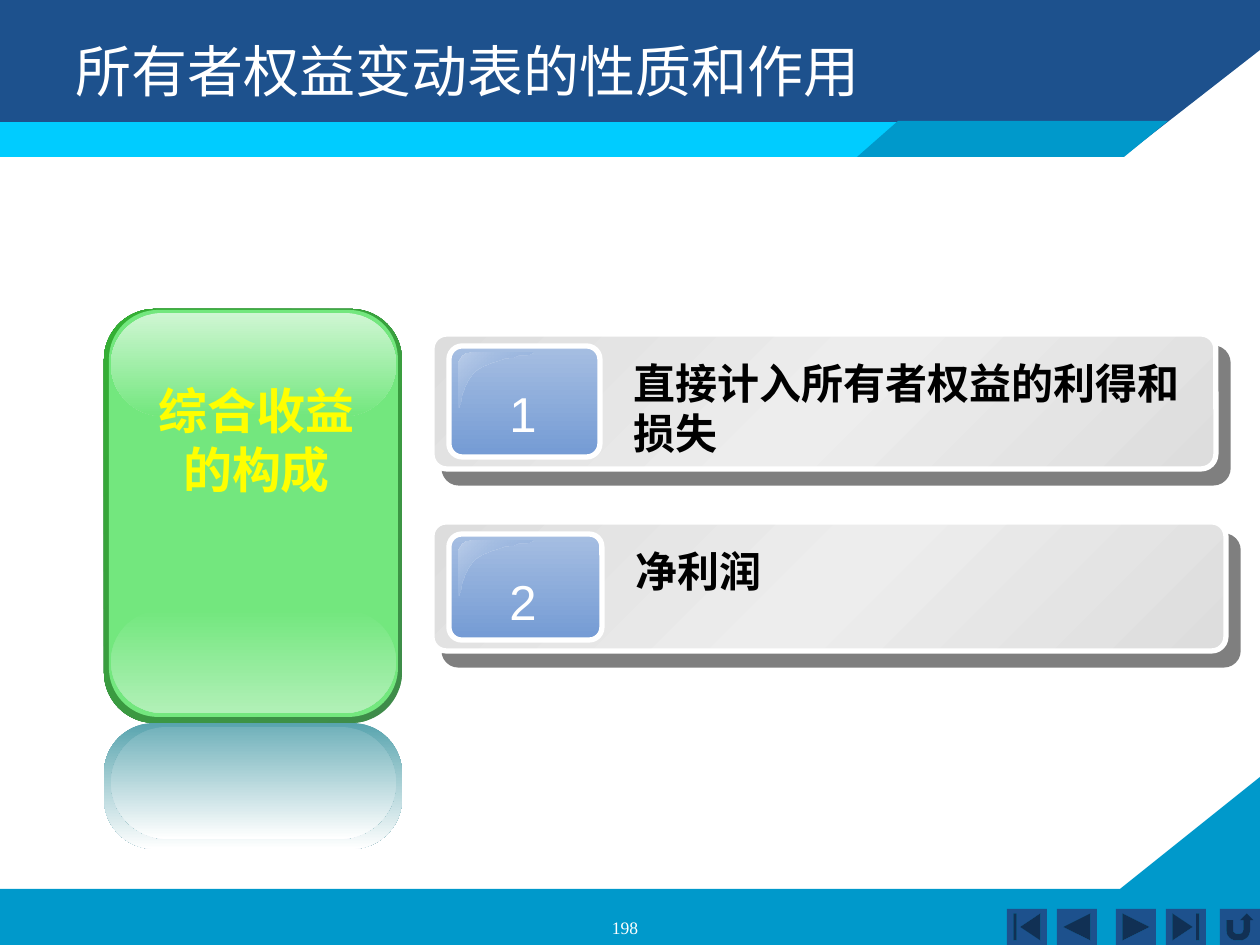
from pptx import Presentation
from pptx.dml.color import RGBColor
from pptx.enum.shapes import MSO_SHAPE
from pptx.enum.text import MSO_ANCHOR, MSO_AUTO_SIZE, PP_ALIGN
from pptx.oxml import parse_xml
from pptx.oxml.ns import nsdecls, qn
from pptx.util import Pt

PX = 7257  # EMU in one px, 126 px to the inch

WHITE = RGBColor(0xFF, 0xFF, 0xFF)
BLACK = RGBColor(0x00, 0x00, 0x00)
YELLOW = RGBColor(0xFF, 0xFF, 0x00)
NAVY = RGBColor(0x1D, 0x51, 0x8D)
BLUE = RGBColor(0x00, 0x99, 0xCB)
CYAN = RGBColor(0x00, 0xCC, 0xFF)
GREY = RGBColor(0xDD, 0xDD, 0xDD)
SILVER = RGBColor(0xED, 0xED, 0xED)
SKY = RGBColor(0xA6, 0xBE, 0xE2)
STEEL = RGBColor(0x74, 0x9B, 0xD4)
PALE = RGBColor(0xBA, 0xCD, 0xE9)
MOSS = RGBColor(0x3F, 0x8B, 0x4A)
LEAF = RGBColor(0x34, 0xB0, 0x34)
GREEN = RGBColor(0x73, 0xE7, 0x7E)
MINT = RGBColor(0xB1, 0xF0, 0xB7)
FROST = RGBColor(0xCF, 0xF6, 0xD3)
TEAL = RGBColor(0x58, 0xA4, 0xAE)
AQUA = RGBColor(0x72, 0xB2, 0xBB)

HEAD = {"name": "Noto Sans CJK SC", "size": Pt(32), "bold": False}
DIGIT = {"name": "Arial", "size": Pt(28)}
ITEM = {"name": "Arial", "size": Pt(24), "bold": True}
LABEL = {"name": "DejaVu Sans", "size": Pt(28), "bold": True}
PAGE = {"name": "Times New Roman", "size": Pt(10)}


def paint(shape, tints, angle=90, edge=None, clear=False):
    """Fill with one tint or an even gradient; clear hides its first stop."""
    shape.shadow.inherit = False
    if edge:
        shape.line.color.rgb = edge
        shape.line.width = Pt(3)
    else:
        shape.line.fill.background()
    if len(tints) == 1:
        shape.fill.solid()
        shape.fill.fore_color.rgb = tints[0]
        return
    stops = ""
    for i, tint in enumerate(tints):
        alpha = '<a:alpha val="0"/>' if clear and i == 0 else ""
        place = 100000 * i // (len(tints) - 1)
        stops += f'<a:gs pos="{place}"><a:srgbClr val="{tint}">{alpha}</a:srgbClr></a:gs>'
    shape.fill.gradient()
    old = shape.element.spPr.find(qn("a:gradFill"))
    old.getparent().replace(old, parse_xml(
        f'<a:gradFill {nsdecls("a")} rotWithShape="1"><a:gsLst>{stops}</a:gsLst>'
        f'<a:lin ang="{angle * 60000}" scaled="0"/></a:gradFill>'))


def write(shape, lines, style, tint, align=PP_ALIGN.LEFT, wrap=True):
    frame = shape.text_frame
    frame.word_wrap = wrap
    frame.auto_size = MSO_AUTO_SIZE.NONE
    frame.vertical_anchor = MSO_ANCHOR.TOP
    for i, line in enumerate(lines):
        para = frame.add_paragraph() if i else frame.paragraphs[0]
        para.alignment = align
        run = para.add_run()
        run.text = line
        for key, value in style.items():
            setattr(run.font, key, value)
        run.font.color.rgb = tint
        run.font.element.append(parse_xml(
            f'<a:ea {nsdecls("a")} typeface="{style["name"]}"/>')) if hasattr(
            run.font, "element") else run.element if hasattr(run, "element") else None


deck = Presentation()
deck.slide_width, deck.slide_height = 1260 * PX, 945 * PX
slide = deck.slides.add_slide(deck.slide_layouts[5])

# Bands of the frame
bands = [
    (BLUE, [(0, 889), (1120, 889), (1260, 777), (1260, 945), (0, 945)]),
    (NAVY, [(0, 0), (1260, 0), (1260, 50), (1124, 156), (0, 156)]),
    (CYAN, [(0, 122), (1063, 122), (1063, 157), (0, 157)]),
    (BLUE, [(857, 157), (1124, 157), (1168, 121), (898, 121)]),
]
for tint, spots in bands:
    pen = slide.shapes.build_freeform(*spots[0], scale=PX)
    pen.add_line_segments(spots[1:])
    paint(pen.convert_to_shape(), [tint])

# Navigation buttons
keys = [
    (1007, MSO_SHAPE.ACTION_BUTTON_BEGINNING),
    (1057, MSO_SHAPE.ACTION_BUTTON_BACK_OR_PREVIOUS),
    (1116, MSO_SHAPE.ACTION_BUTTON_FORWARD_OR_NEXT),
    (1166, MSO_SHAPE.ACTION_BUTTON_END),
    (1220, MSO_SHAPE.ACTION_BUTTON_RETURN),
]
for x, kind in keys:
    paint(slide.shapes.add_shape(kind, x * PX, 909 * PX, 40 * PX, 36 * PX), [NAVY])

title = slide.shapes.title
title.left, title.top, title.width, title.height = (v * PX for v in (63, 38, 1134, 158))
write(title, ["所有者权益变动表的性质和作用"], HEAD, WHITE)
title.text_frame.paragraphs[0].line_spacing = 0.9
title.element.getparent().append(title.element)  # in front of the bands

# Glossy green panel with its reflection
panel = slide.shapes.add_group_shape().shapes
layers = [
    ((104, 309, 298, 414), 0.17, [MOSS, LEAF], 225),
    ((109, 310, 289, 407), 0.17, [GREEN], 90),
    ((111, 610, 285, 103), 0.5, [GREEN, MINT], 90),
    ((111, 313, 285, 103), 0.5, [FROST, GREEN], 90),
    ((104, 723, 298, 126), 0.4, [TEAL, WHITE], 90),
    ((111, 727, 285, 112), 0.5, [AQUA, WHITE], 90),
]
for box, bend, tints, angle in layers:
    layer = panel.add_shape(MSO_SHAPE.ROUNDED_RECTANGLE, *(v * PX for v in box))
    layer.adjustments[0] = bend
    paint(layer, tints, angle)
label = panel.add_textbox(*(v * PX for v in (115, 374, 283, 131)))
write(label, ["综合收益", "的构成"], LABEL, YELLOW, PP_ALIGN.CENTER)

# Outline of the sheen on a number tile, from Bezier curves
curves = [
    [(14, 0), (6, 0), (0, 5), (0, 11)],
    [(0, 54), (3, 55), (1, 29), (20, 16)],
    [(20, 16), (39, 4), (74, 3), (74, 0)],
]
sheen = []
for a, b, c, d in curves:
    for t in (i / 10 for i in range(11)):
        sheen.append([a[k] * (1 - t) ** 3 + 3 * b[k] * t * (1 - t) ** 2
                      + 3 * c[k] * t * t * (1 - t) + d[k] * t ** 3 for k in (0, 1)])

# Numbered cards
cards = [
    ("1", "直接计入所有者权益的利得和损失", 334, (784, 135), (151, 111), (621, 576, 113)),
    ("2", "净利润", 522, (794, 129), (153, 106), (623, 583, 63)),
]
for digit, text, top, size, tile, (x, wide, high) in cards:
    card = slide.shapes.add_group_shape().shapes
    boxes = [
        ((432, top, *size), 0.11, [GREY, SILVER, GREY], 225),
        ((449, top + 12, *tile), 0.12, [SKY, STEEL], 90),
    ]
    for box, bend, tints, angle in boxes:
        part = card.add_shape(MSO_SHAPE.ROUNDED_RECTANGLE, *(v * PX for v in box))
        part.adjustments[0] = bend
        paint(part, tints, angle, WHITE)
        if angle == 225:
            part.element.spPr.find(qn("a:effectLst")).append(parse_xml(
                f'<a:outerShdw {nsdecls("a")} dist="134620" dir="2940000" algn="ctr" '
                'rotWithShape="0"><a:srgbClr val="000000"><a:alpha val="50000"/>'
                '</a:srgbClr></a:outerShdw>'))
    spots = [(459 + u, top + 19 + v) for u, v in sheen]
    pen = card.build_freeform(*spots[0], scale=PX)
    pen.add_line_segments(spots[1:])
    paint(pen.convert_to_shape(), [STEEL, PALE], 225, clear=True)
    number = card.add_textbox(*(v * PX for v in (497, top + 43, 52, 72)))
    write(number, [digit], DIGIT, WHITE, PP_ALIGN.CENTER, wrap=False)
    item = card.add_textbox(*(v * PX for v in (x, top + 17, wide, high)))
    write(item, [text], ITEM, BLACK)

page = slide.shapes.add_textbox(*(v * PX for v in (478, 911, 294, 23)))
write(page, ["198"], PAGE, WHITE, PP_ALIGN.CENTER)

deck.save("out.pptx")
